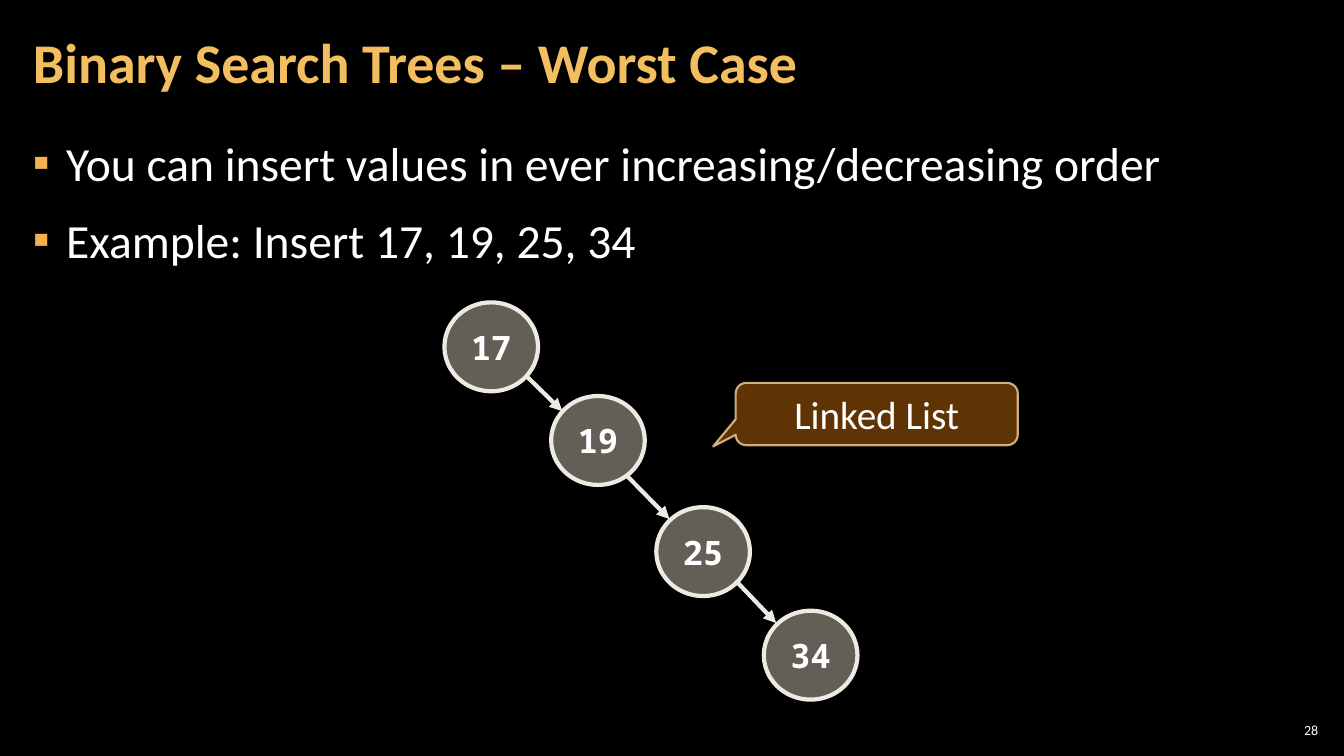
from dataclasses import dataclass
from typing import Any, NamedTuple

import pptx
import pptx.dml.color
import pptx.enum.shapes
import pptx.enum.text
import pptx.oxml
import pptx.oxml.ns
import pptx.util

Cm, Pt = pptx.util.Cm, pptx.util.Pt
Kind = pptx.enum.shapes.MSO_SHAPE
Align = pptx.enum.text.PP_ALIGN
Anchor = pptx.enum.text.MSO_ANCHOR
Fit = pptx.enum.text.MSO_AUTO_SIZE


@dataclass(frozen=True)
class Theme:
    back: str = "000000"
    text: str = "FFFFFF"
    title: str = "F3BE60"
    mark: str = "F2B254"
    node: str = "C7BFAC"
    edge: str = "ECEAE3"
    note: str = "663606"
    rim: str = "F8D49E"
    sans: str = "Calibri"
    mono: str = "Noto Sans Mono"
    head: int = 40
    body: int = 34
    call: int = 28
    key: int = 24
    page: int = 10


class Box(NamedTuple):
    left: float
    top: float
    width: float
    height: float


class Node(NamedTuple):
    key: str
    left: float
    top: float


class Link(NamedTuple):
    x1: float
    y1: float
    x2: float
    y2: float


THEME = Theme()
NODE_W, NODE_H = 2.36, 2.24
NODES = [Node("17", 11.2, 7.62), Node("19", 13.89, 9.98),
         Node("25", 16.54, 12.78), Node("34", 19.25, 15.39)]
LINKS = [Link(13.26, 9.47, 14.17, 10.36), Link(15.82, 12.01, 16.87, 13.08),
         Link(18.54, 14.63, 19.56, 15.7)]
POINTS = ["You can insert values in ever increasing/decreasing order",
          "Example: Insert 17, 19, 25, 34"]


def rgb(code: str) -> pptx.dml.color.RGBColor:
    return pptx.dml.color.RGBColor.from_string(code)


def tag(xml: str) -> Any:
    name, _, rest = xml.partition(" ")
    return pptx.oxml.parse_xml(f"<a:{name} {pptx.oxml.ns.nsdecls('a')} {rest}/>")


def fade(part: Any, share: int) -> None:
    part.find(".//" + pptx.oxml.ns.qn("a:srgbClr")).append(tag(f'alpha val="{share * 1000}"'))


def style(para: Any, size: int, color: str = THEME.text, face: str = THEME.sans,
          bold: bool = False, align: Any = Align.LEFT) -> None:
    para.alignment = align
    for run in para.runs:
        run.font.size, run.font.name, run.font.bold = Pt(size), face, bold
        run.font.color.rgb = rgb(color)


def place(box: Box) -> list[int]:
    return [Cm(side) for side in box]


def inset(frame: Any, side: float, edge: float = 0.1) -> None:
    frame.margin_left = frame.margin_right = Cm(side)
    frame.margin_top = frame.margin_bottom = Cm(edge)


def add_shape(slide: Any, kind: Any, box: Box, fill: str, share: int,
              line: str, width: float) -> Any:
    shape = slide.shapes.add_shape(kind, *place(box))
    shape.shadow.inherit = False
    shape.fill.solid()
    shape.fill.fore_color.rgb = rgb(fill)
    fade(shape.element.spPr, share)
    shape.line.color.rgb = rgb(line)
    shape.line.width = Pt(width)
    shape.text_frame.vertical_anchor = Anchor.MIDDLE
    return shape


def add_title(slide: Any, text: str) -> None:
    title = slide.shapes.title
    title.left, title.top, title.width, title.height = place(Box(0.53, 0.1, 26.59, 3.07))
    frame = title.text_frame
    frame.text = text
    frame.auto_size, frame.vertical_anchor = Fit.NONE, Anchor.MIDDLE
    inset(frame, 0.3)
    frame.paragraphs[0].line_spacing = 0.9
    style(frame.paragraphs[0], THEME.head, THEME.title, bold=True)


def add_points(slide: Any, lines: list[str]) -> None:
    frame = slide.shapes.add_textbox(*place(Box(0.53, 3.2, 32.79, 15.47))).text_frame
    frame.word_wrap = True
    inset(frame, 0.3)
    frame.text = "\n".join(lines)
    for para in frame.paragraphs:
        style(para, THEME.body)
        para.line_spacing = 1.05
        para.space_before = para.space_after = Pt(6)
        props = para._p.get_or_add_pPr()
        props.set("marL", str(Cm(0.84)))
        props.set("indent", str(-Cm(0.84)))
        color = tag("buClr")
        color.append(tag(f'srgbClr val="{THEME.mark}"'))
        props.extend([color, tag('buFont typeface="Wingdings"'), tag('buChar char="▪"')])
        props.find(pptx.oxml.ns.qn("a:buFont")).set("typeface", THEME.sans)


def add_node(slide: Any, node: Node) -> None:
    box = Box(node.left, node.top, NODE_W, NODE_H)
    frame = add_shape(slide, Kind.OVAL, box, THEME.node, 50, THEME.edge, 3).text_frame
    frame.word_wrap = False
    frame.text = node.key
    style(frame.paragraphs[0], THEME.key, face=THEME.mono, bold=True, align=Align.CENTER)


def add_link(slide: Any, link: Link) -> None:
    kind = pptx.enum.shapes.MSO_CONNECTOR.STRAIGHT
    line = slide.shapes.add_connector(kind, *[Cm(side) for side in link])
    line.line.color.rgb = rgb(THEME.edge)
    line.line.width = Pt(3)
    line.line._get_or_add_ln().append(tag('tailEnd type="triangle"'))
    line._element.spPr.append(tag("effectLst"))


def add_note(slide: Any, text: str) -> None:
    box = Box(18.54, 9.65, 7.11, 1.57)
    note = add_shape(slide, Kind.ROUNDED_RECTANGULAR_CALLOUT, box,
                     THEME.note, 95, THEME.rim, 1.5)
    for spot, value in enumerate((-0.58, 0.52, 0.17)):
        note.adjustments[spot] = value
    fade(note.line._get_or_add_ln(), 80)
    note.text_frame.text = text
    style(note.text_frame.paragraphs[0], THEME.call, align=Align.CENTER)


def add_page(slide: Any, text: str) -> None:
    frame = slide.shapes.add_textbox(*place(Box(32.13, 18.14, 1.19, 0.53))).text_frame
    frame.word_wrap = True
    frame.vertical_anchor = Anchor.MIDDLE
    inset(frame, 0.1)
    frame.text = text
    style(frame.paragraphs[0], THEME.page, align=Align.RIGHT)


# Slide and background
deck = pptx.Presentation()
deck.slide_width, deck.slide_height = Cm(33.87), Cm(19.05)
slide = deck.slides.add_slide(deck.slide_layouts.get_by_name("Title Only"))
slide.background.fill.solid()
slide.background.fill.fore_color.rgb = rgb(THEME.back)

# Text
add_title(slide, "Binary Search Trees – Worst Case")
add_points(slide, POINTS)
add_page(slide, "28")

# Tree that has become a list
for node in NODES:
    add_node(slide, node)
for link in LINKS:
    add_link(slide, link)
add_note(slide, "Linked List")

deck.save("out.pptx")
